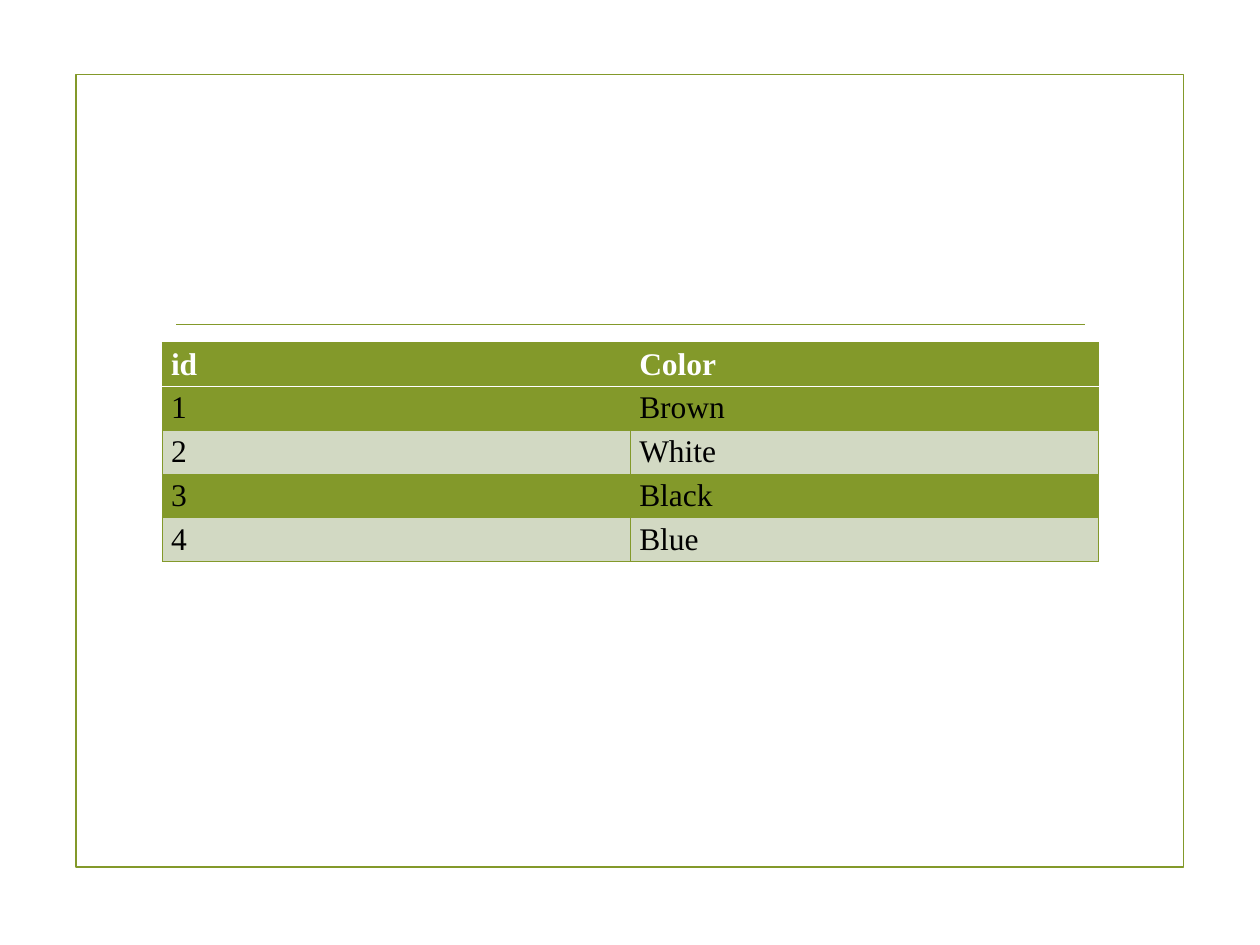
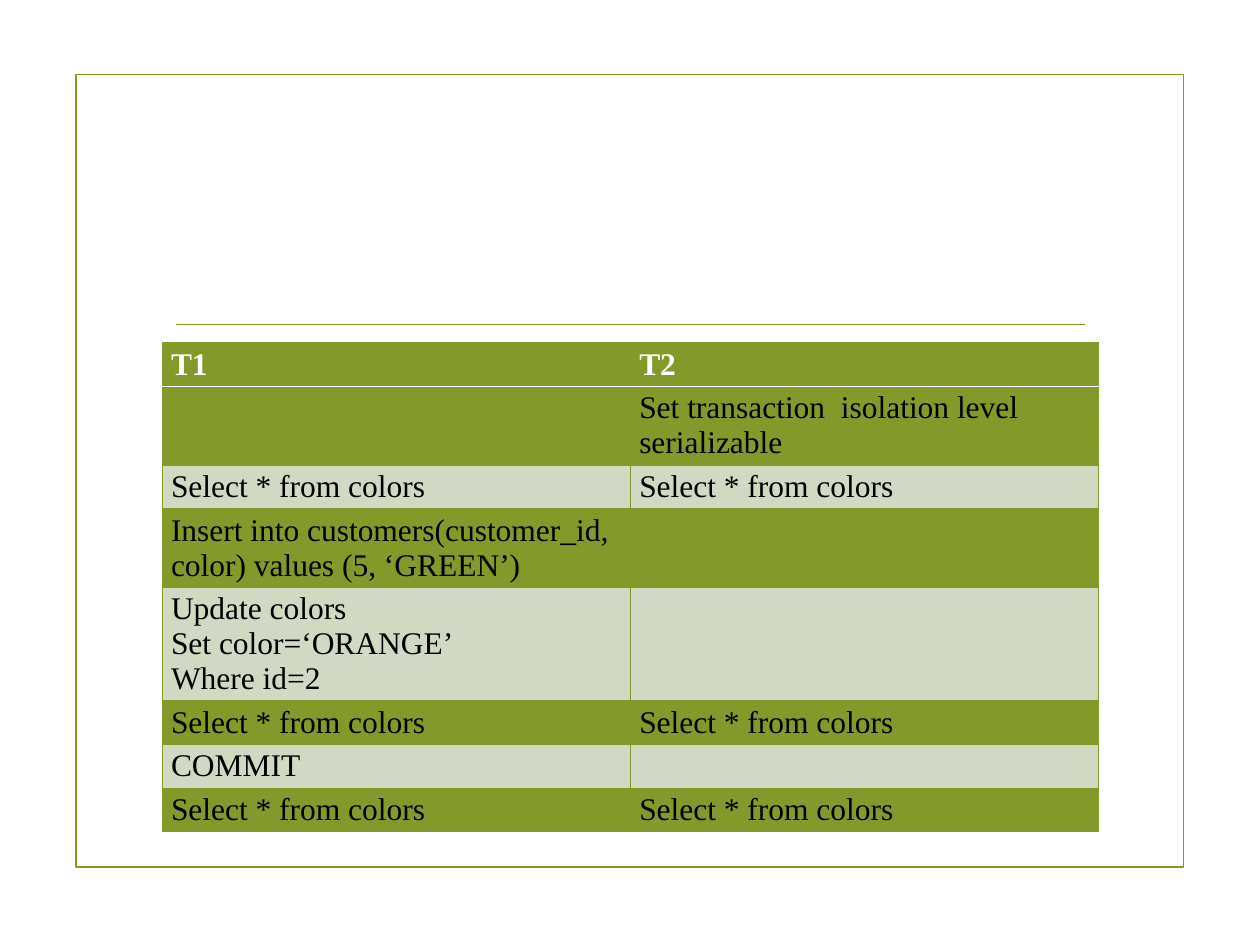
import dataclasses
import typing

import pptx
import pptx.dml.color
import pptx.enum.shapes
import pptx.oxml
import pptx.oxml.ns
import pptx.util

# Shared look
WIDTH, HEIGHT = pptx.util.Inches(14.22), pptx.util.Inches(10.67)
GREEN, PALE, WHITE, BLACK = "83992A", "D2D9C3", "FFFFFF", "000000"
FONT, TEXT_SIZE = "Times New Roman", 25.6
THIN, THICK = 0.75, 1.25
QUERY = "Select * from colors"


@dataclasses.dataclass(frozen=True)
class Area:
    """A rectangle in percent of the slide's width and height."""
    left: float
    top: float
    width: float
    height: float

    def lengths(self) -> tuple[int, int, int, int]:
        return (across(self.left), down(self.top),
                across(self.width), down(self.height))


@dataclasses.dataclass(frozen=True)
class Grid:
    header: tuple[str, ...]
    rows: tuple[tuple[str, ...], ...]


FRAME = Area(6.05, 7.87, 87.9, 83.88)
RULE = Area(14, 34.3, 72.15, 0)
TABLE_LEFT, TABLE_TOP, TABLE_WIDTH, ROW_HEIGHT = 12.87, 36.27, 74.33, 3.84

GRIDS = (
    Grid(("id", "Color"),
         (("1", "Brown"), ("2", "White"), ("3", "Black"), ("4", "Blue"))),
    Grid(("Т1", "Т2"),
         (("", "Set transaction  isolation level serializable"),
          (QUERY, QUERY),
          ("Insert into customers(customer_id, color) values (5, ‘GREEN’)", ""),
          ("Update colors\nSet color=‘ORANGE’\nWhere id=2", ""),
          (QUERY, QUERY),
          ("COMMIT", ""),
          (QUERY, QUERY))),
)


def across(percent: float) -> int:
    return round(WIDTH * percent / 100)


def down(percent: float) -> int:
    return round(HEIGHT * percent / 100)


def color(value: str) -> pptx.dml.color.RGBColor:
    return pptx.dml.color.RGBColor.from_string(value)


def format_line(line: typing.Any, points: float) -> None:
    line.color.rgb = color(GREEN)
    line.width = pptx.util.Pt(points)


def draw_backdrop(page: typing.Any) -> None:
    """Draw the frame and the rule that every slide has."""
    frame = page.shapes.add_shape(
        pptx.enum.shapes.MSO_SHAPE.RECTANGLE, *FRAME.lengths())
    frame.shadow.inherit = False
    frame.fill.background()
    format_line(frame.line, THICK)

    left, top, width, height = RULE.lengths()
    rule = page.shapes.add_connector(
        pptx.enum.shapes.MSO_CONNECTOR.STRAIGHT,
        left, top, left + width, top + height)
    format_line(rule.line, THIN)
    pptx.oxml.ns.qn("a:effectLst")
    rule.element.spPr.append(pptx.oxml.parse_xml(
        f'<a:effectLst {pptx.oxml.ns.nsdecls("a")}/>'))


def add_border(cell: typing.Any, side: str, value: str, points: float) -> None:
    properties = cell._tc.get_or_add_tcPr()
    properties.append(pptx.oxml.parse_xml(
        f'<a:ln{side} {pptx.oxml.ns.nsdecls("a")} w="{pptx.util.Pt(points)}">'
        f'<a:solidFill><a:srgbClr val="{value}"/></a:solidFill></a:ln{side}>'))


def format_cell(cell: typing.Any, text: str, row: int) -> None:
    # The white line lies between the header and the first row
    white_side = {0: "B", 1: "T"}.get(row)
    for side in "LRTB":
        if side == white_side:
            add_border(cell, side, WHITE, THICK)
        else:
            add_border(cell, side, GREEN, THIN)
    cell.fill.solid()
    cell.fill.fore_color.rgb = color(PALE if row and row % 2 == 0 else GREEN)

    cell.text = text
    formats = {"name": FONT, "size": pptx.util.Pt(TEXT_SIZE), "bold": row == 0}
    for para in cell.text_frame.paragraphs:
        for name, value in formats.items():
            setattr(para.font, name, value)
        para.font.color.rgb = color(BLACK if row else WHITE)
        for span in para.runs:
            for name, value in formats.items():
                setattr(span.font, name, value)
            span.font.color.rgb = color(BLACK if row else WHITE)


def draw_table(page: typing.Any, grid: Grid) -> None:
    lines = (grid.header, *grid.rows)
    area = Area(TABLE_LEFT, TABLE_TOP, TABLE_WIDTH, ROW_HEIGHT * len(lines))
    table = page.shapes.add_table(
        len(lines), len(grid.header), *area.lengths()).table
    table.first_row = table.horz_banding = False
    for row, texts in enumerate(lines):
        for column, text in enumerate(texts):
            format_cell(table.cell(row, column), text, row)


def main() -> None:
    deck = pptx.Presentation()
    deck.slide_width, deck.slide_height = WIDTH, HEIGHT
    blank_layout = deck.slide_layouts[6]
    for grid in GRIDS:
        page = deck.slides.add_slide(blank_layout)
        draw_backdrop(page)
        draw_table(page, grid)
    deck.save("out.pptx")


if __name__ == "__main__":
    main()
